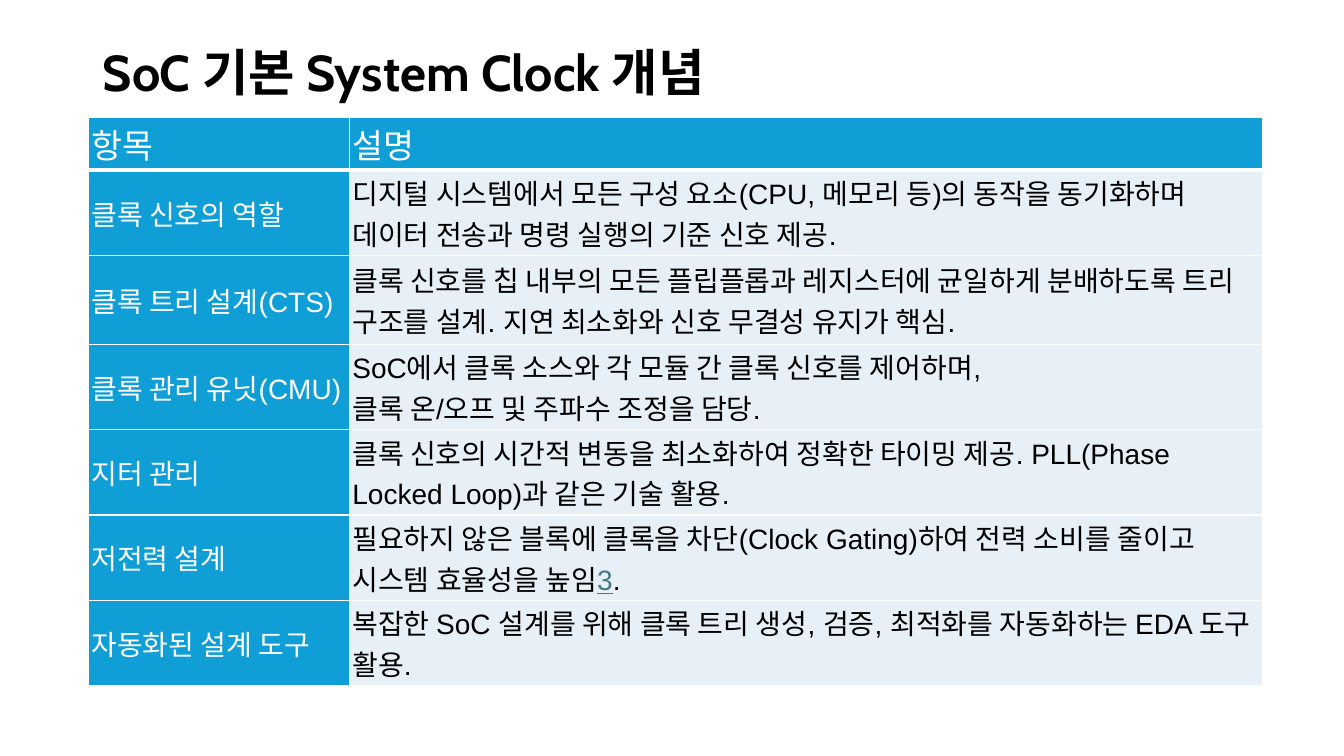
from dataclasses import dataclass

from lxml import etree
from pptx import Presentation
from pptx.dml.color import RGBColor
from pptx.enum.text import MSO_ANCHOR, MSO_AUTO_SIZE, PP_ALIGN
from pptx.oxml.ns import qn
from pptx.util import Cm, Pt

LEFT = PP_ALIGN.LEFT
TOP = MSO_ANCHOR.TOP
MIDDLE = MSO_ANCHOR.MIDDLE
NO_AUTOFIT = MSO_AUTO_SIZE.NONE
TITLE_ONLY = 5


@dataclass(frozen=True)
class Theme:
    title_font: str = "Cabin"
    body_font: str = "Arial"
    title_size: int = 36
    header_size: int = 24
    body_size: int = 20
    black: str = "000000"
    white: str = "FFFFFF"
    blue: str = "0F9ED5"
    pale: str = "E7F0F7"
    link: str = "467886"


THEME = Theme()

TITLE = "SoC 기본 System Clock 개념"
HEADER = ("항목", "설명")
ROWS = [
    ("클록 신호의 역할",
     "디지털 시스템에서 모든 구성 요소(CPU, 메모리 등)의 동작을 동기화하며 "
     "데이터 전송과 명령 실행의 기준 신호 제공."),
    ("클록 트리 설계(CTS)",
     "클록 신호를 칩 내부의 모든 플립플롭과 레지스터에 균일하게 분배하도록 트리 "
     "구조를 설계. 지연 최소화와 신호 무결성 유지가 핵심."),
    ("클록 관리 유닛(CMU)",
     "SoC에서 클록 소스와 각 모듈 간 클록 신호를 제어하며,\n"
     "클록 온/오프 및 주파수 조정을 담당."),
    ("지터 관리",
     "클록 신호의 시간적 변동을 최소화하여 정확한 타이밍 제공. "
     "PLL(Phase Locked Loop)과 같은 기술 활용."),
    ("저전력 설계",
     "필요하지 않은 블록에 클록을 차단(Clock Gating)하여 전력 소비를 줄이고 "
     "시스템 효율성을 높임|3|."),
    ("자동화된 설계 도구",
     "복잡한 SoC 설계를 위해 클록 트리 생성, 검증, 최적화를 자동화하는 "
     "EDA 도구 활용."),
]
COL_WIDTHS = (6.58, 23.02)
ROW_HEIGHTS = (1.26, 2.13, 2.24, 2.13, 2.13, 2.13, 2.13)


def apply(obj, formats):
    for name, value in formats.items():
        setattr(obj, name, value)


def add_run(p, text, color, formats):
    r = p.add_run()
    r.text = text
    apply(r.font, formats)
    r.font.color.rgb = RGBColor.from_string(color)


def set_borders(cell, widths):
    tcPr = cell._tc.get_or_add_tcPr()
    for index, (side, width) in enumerate(widths.items()):
        ln = etree.Element(qn(f"a:{side}"), w=str(Pt(width)))
        fill = etree.SubElement(ln, qn("a:solidFill"))
        etree.SubElement(fill, qn("a:srgbClr"), val=THEME.white)
        tcPr.insert(index, ln)


def fill_cell(cell, text, fill, color, size, anchor, borders):
    apply(cell, {
        "margin_left": Cm(0.08), "margin_right": Cm(0.08),
        "margin_top": Cm(0.05), "margin_bottom": Cm(0.05),
        "vertical_anchor": anchor,
    })
    cell.fill.solid()
    cell.fill.fore_color.rgb = RGBColor.from_string(fill)
    set_borders(cell, borders)
    font = {"name": THEME.body_font, "size": Pt(size), "bold": False}
    tf = cell.text_frame
    for n, line in enumerate(text.split("\n")):
        p = tf.add_paragraph() if n else tf.paragraphs[0]
        p.alignment = LEFT
        for k, part in enumerate(line.split("|")):
            is_link = k % 2 == 1
            add_run(p, part, THEME.link if is_link else color,
                    {**font, "underline": is_link})


def add_title(s):
    sp = s.shapes.title
    apply(sp, {"left": Cm(2.34), "top": Cm(1.02),
               "width": Cm(29.21), "height": Cm(1.73)})
    tf = sp.text_frame
    apply(tf, {"vertical_anchor": MIDDLE, "word_wrap": True,
               "auto_size": NO_AUTOFIT})
    p = tf.paragraphs[0]
    apply(p, {"alignment": LEFT, "line_spacing": 0.9})
    add_run(p, TITLE, THEME.black,
            {"name": THEME.title_font, "size": Pt(THEME.title_size), "bold": True})


def add_clock_table(s):
    table = s.shapes.add_table(
        len(ROW_HEIGHTS), len(COL_WIDTHS), Cm(2.22), Cm(2.96),
        Cm(sum(COL_WIDTHS)), Cm(sum(ROW_HEIGHTS))).table
    apply(table, {"first_row": True, "first_col": True, "horz_banding": False})
    for col, width in zip(table.columns, COL_WIDTHS):
        col.width = Cm(width)
    for row, height in zip(table.rows, ROW_HEIGHTS):
        row.height = Cm(height)
    for i, texts in enumerate([HEADER, *ROWS]):
        is_header = i == 0
        size = THEME.header_size if is_header else THEME.body_size
        anchor = TOP if is_header else MIDDLE
        borders = {"lnL": 1, "lnR": 1, "lnT": 3 if i == 1 else 1,
                   "lnB": 3 if is_header else 1}
        for j, text in enumerate(texts):
            is_label = is_header or j == 0
            fill = THEME.blue if is_label else THEME.pale
            color = THEME.white if is_label else THEME.black
            fill_cell(table.cell(i, j), text, fill, color, size, anchor, borders)


def main():
    prs = Presentation()
    apply(prs, {"slide_width": Cm(33.87), "slide_height": Cm(19.05)})
    s = prs.slides.add_slide(prs.slide_layouts[TITLE_ONLY])
    add_title(s)
    add_clock_table(s)
    prs.save("out.pptx")


if __name__ == "__main__":
    main()
